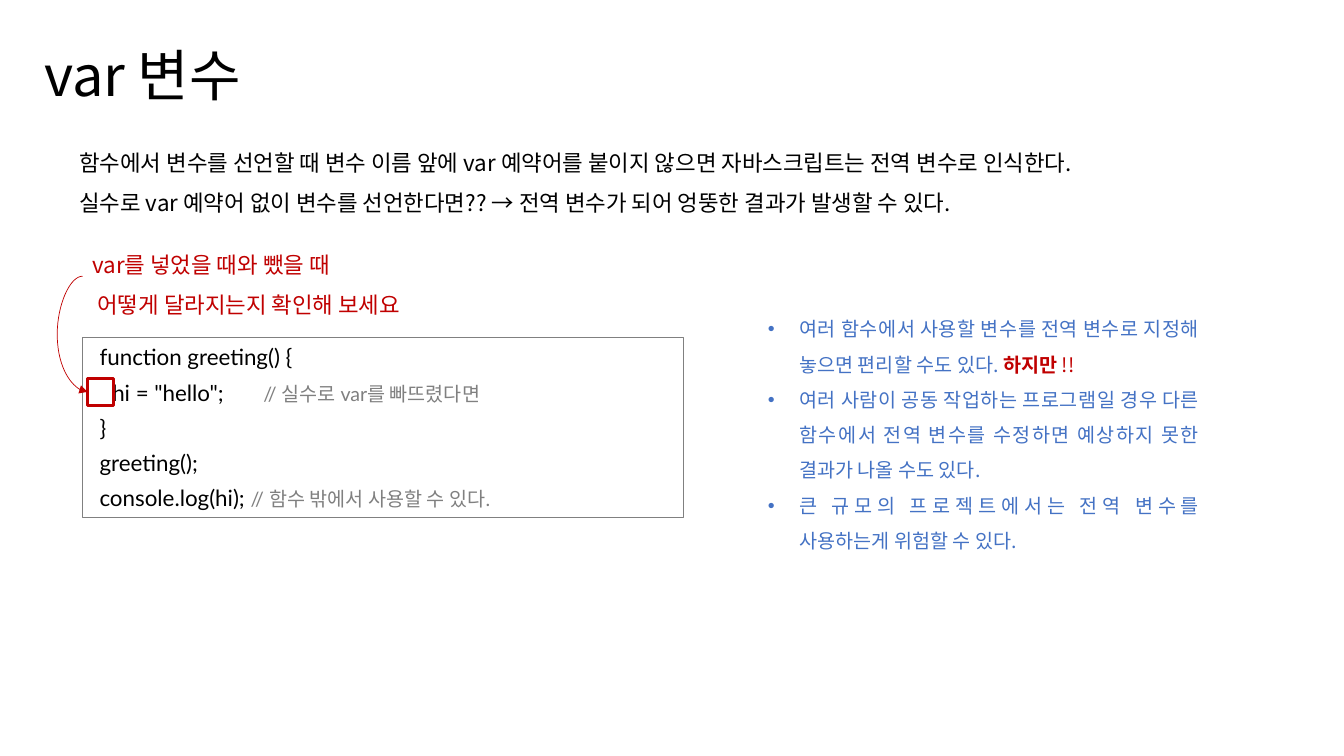
from pptx import Presentation, util as u
from pptx.dml.color import RGBColor
from pptx.enum import shapes, text
from pptx.oxml.ns import qn
from lxml import etree

HUES = {"ink": "000000", "gray": "808080", "red": "C00000", "blue": "4472C4"}
KOR, LAT = "Noto Sans CJK KR", "Lato"


def hue(name):
    return RGBColor.from_string(HUES[name])


class Deck:
    def __init__(self):
        self.prs = Presentation()
        self.prs.slide_width, self.prs.slide_height = u.Cm(33.87), u.Cm(19.05)
        self.slide = self.prs.slides.add_slide(self.prs.slide_layouts[1])

    def place(self, shape, left, top, width, height):
        shape.left, shape.top = u.Cm(left), u.Cm(top)
        shape.width, shape.height = u.Cm(width), u.Cm(height)
        return shape

    def fill(self, shape, paras, font=KOR, line=1.0, gap=0, align="LEFT", anchor="TOP"):
        """Each paragraph is a list of (text, size, colour, bold) runs."""
        frame = shape.text_frame
        frame.word_wrap = True
        frame.auto_size = text.MSO_AUTO_SIZE.NONE
        frame.vertical_anchor = text.MSO_ANCHOR[anchor]
        for i, runs in enumerate(paras):
            para = frame.paragraphs[0] if i == 0 else frame.add_paragraph()
            para.alignment = text.PP_ALIGN[align]
            para.line_spacing = line
            para.space_before = para.space_after = u.Pt(gap)
            for words, size, tone, bold in runs:
                run = para.add_run()
                run.text = words
                run.font.size, run.font.bold = u.Pt(size), bold
                run.font.name, run.font.color.rgb = font, hue(tone)
                face = run.font._element.find(qn("a:latin"))
                east = etree.Element(qn("a:ea"), typeface=KOR)
                face.addnext(east)
        return frame

    def title(self, words, area):
        shape = self.place(self.slide.shapes.title, *area)
        self.fill(shape, [[(words, 40, "ink", False)]])

    def list(self, paras, area):
        shape = self.place(self.slide.placeholders[1], *area)
        frame = self.fill(shape, paras, line=1.5, align="JUSTIFY")
        for para in frame.paragraphs:
            self.indent(para, 0.79, -0.79)

    def note(self, lines, tone, area):
        shape = self.slide.shapes.add_textbox(*map(u.Cm, area))
        self.fill(shape, [[(words, 16, tone, False)] for words in lines], line=1.5)
        return shape

    def box(self, tone, weight, area):
        shape = self.slide.shapes.add_shape(
            shapes.MSO_SHAPE.RECTANGLE, *map(u.Cm, area))
        shape.shadow.inherit = False
        shape.fill.background()
        shape.line.color.rgb, shape.line.width = hue(tone), u.Pt(weight)
        return shape

    def indent(self, para, left, first=0, tab=None):
        props = para._p.get_or_add_pPr()
        props.set("marL", str(u.Cm(left)))
        props.set("indent", str(u.Cm(first)))
        if tab:
            stops = etree.SubElement(props, qn("a:tabLst"))
            etree.SubElement(stops, qn("a:tab"), pos=str(u.Cm(tab)), algn="l")

    def code(self, rows, area):
        """Each row is (code, comment, left indent, tab stop)."""
        paras = []
        for words, remark, _, _ in rows:
            runs = [(words, 16, "ink", False)]
            if remark:
                runs.append(("\t" + remark, 14, "gray", False))
            paras.append(runs)
        shape = self.box("gray", 0.75, area)
        frame = self.fill(shape, paras, font=LAT, gap=3, anchor="MIDDLE")
        for para, (_, _, left, tab) in zip(frame.paragraphs, rows):
            self.indent(para, left, tab=tab)

    def arrow(self, start, end, bend):
        link = self.slide.shapes.add_connector(
            shapes.MSO_CONNECTOR.CURVE, 0, 0, 0, 0)
        link.begin_connect(start, 1)
        link.end_connect(end, 1)
        link.line.color.rgb, link.line.width = hue("red"), u.Pt(0.5)
        props = link._element.spPr
        guides = props.find(qn("a:prstGeom")).get_or_add_avLst()
        etree.SubElement(guides, qn("a:gd"), name="adj1", fmla=f"val {bend}")
        etree.SubElement(link.line._get_or_add_ln(), qn("a:tailEnd"), type="triangle")
        etree.SubElement(props, qn("a:effectLst"))


def main():
    deck = Deck()

    # Title and introduction
    deck.title("var 변수", (0.86, 0.89, 10.24, 1.96))
    deck.note([
        "함수에서 변수를 선언할 때 변수 이름 앞에 var 예약어를 붙이지 않으면 자바스크립트는 전역 변수로 인식한다.",
        "실수로 var 예약어 없이 변수를 선언한다면?? → 전역 변수가 되어 엉뚱한 결과가 발생할 수 있다.",
    ], "ink", (1.75, 3.3, 28.96, 2.18))

    # Code sample
    deck.code([
        ("function greeting() {", "", 0.18, None),
        ("hi = \"hello\";", "// 실수로 var를 빠뜨렸다면", 0.5, 3.73),
        ("}", "", 0.18, None),
        ("greeting();", "", 0.18, None),
        ("console.log(hi);", "// 함수 밖에서 사용할 수 있다.", 0.18, 4.14),
    ], (2.08, 8.51, 15.14, 4.52))

    # Red hint pointing at the missing keyword
    spot = deck.box("red", 2.25, (2.21, 9.53, 0.66, 0.69))
    hint = deck.note(["var를 넣었을 때와 뺐을 때", " 어떻게 달라지는지 확인해 보세요"],
                     "red", (2.08, 5.87, 9.7, 2.18))
    deck.arrow(hint, spot, -490000)

    # Warnings
    deck.list([
        [("여러 함수에서 사용할 변수를 전역 변수로 지정해 놓으면 편리할 수도 있다. ", 14, "blue", False),
         ("하지만 ", 14, "red", True), ("!!", 14, "red", False)],
        [("여러 사람이 공동 작업하는 프로그램일 경우 다른 함수에서 전역 변수를 수정하면 "
          "예상하지 못한 결과가 나올 수도 있다.", 14, "blue", False)],
        [("큰 규모의 프로젝트에서는 전역 변수를 사용하는게 위험할 수 있다.", 14, "blue", False)],
    ], (19.1, 7.57, 11.38, 6.43))

    deck.prs.save("out.pptx")


if __name__ == "__main__":
    main()
